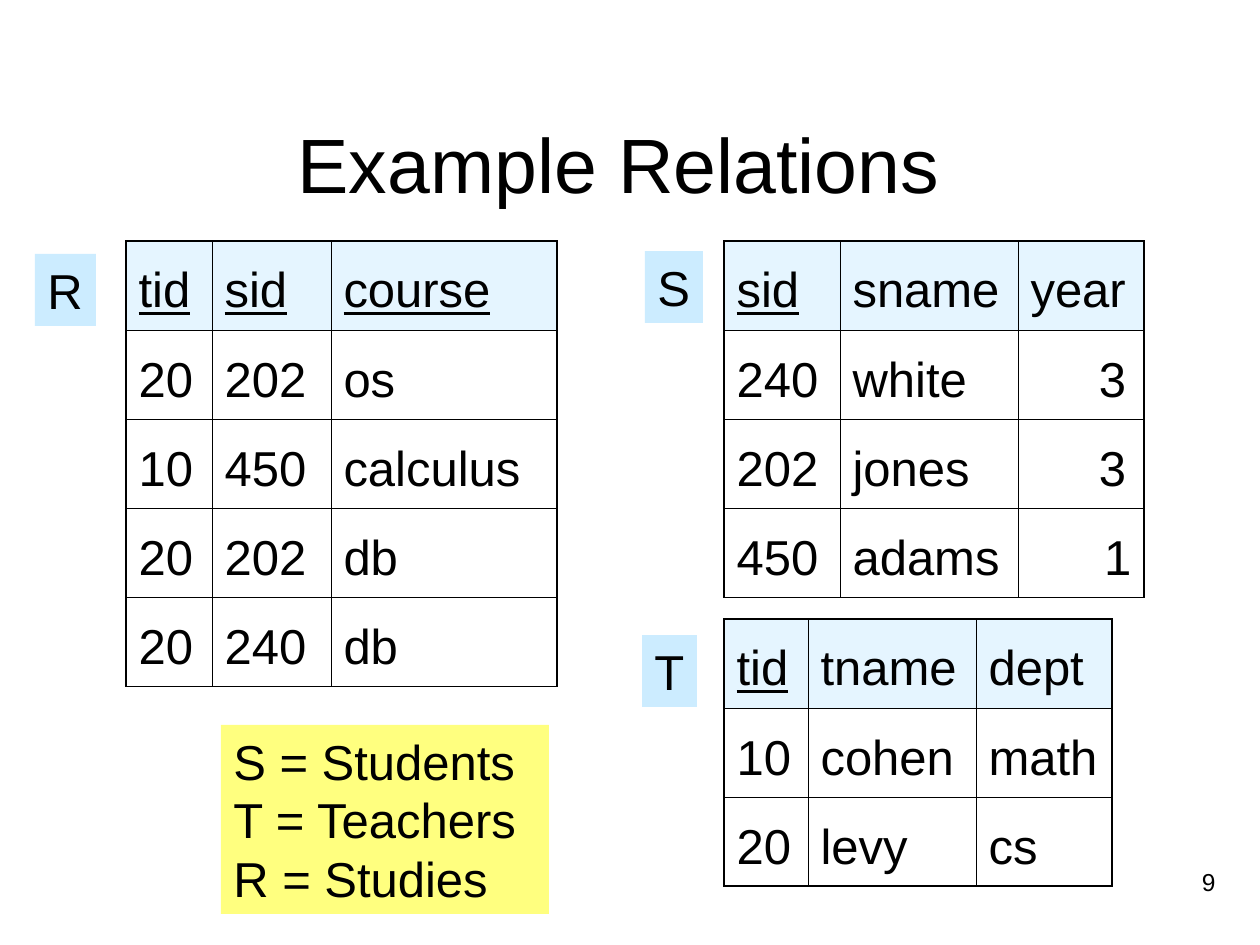
"""Build the Example Relations slide with its three tables, labels and legend."""
from lxml import etree
from pptx import Presentation
from pptx import util as u
from pptx.dml.color import RGBColor
from pptx.enum import shapes, text
from pptx.oxml.ns import qn

PX = 914400 // 126
COLORS = {"ink": "000000", "sky": "CCECFF", "yellow": "FFFF00"}
ROW_HEIGHT = 89


def paint(fill, color, owner=None):
    fill.solid()
    fill.fore_color.rgb = RGBColor.from_string(COLORS[color])
    if owner is not None:
        shade = next(owner.iter(qn("a:srgbClr")))
        etree.SubElement(shade, qn("a:alpha"), val="50000")


def write(frame, lines, size=28, align="LEFT", underline=False):
    frame.word_wrap = True
    for number, line in enumerate(lines):
        para = frame.add_paragraph() if number else frame.paragraphs[0]
        para.alignment = text.PP_ALIGN[align]
        span = para.add_run()
        span.text = line
        span.font.size = u.Pt(size)
        span.font.name = "Arial"
        span.font.underline = underline
        span.font.color.rgb = RGBColor.from_string(COLORS["ink"])


deck = Presentation()
deck.slide_width, deck.slide_height = 1260 * PX, 945 * PX
page = deck.slides.add_slide(deck.slide_layouts[6])

title = page.shapes.add_textbox(94 * PX, 84 * PX, 1071 * PX, 158 * PX)
title.text_frame.vertical_anchor = text.MSO_ANCHOR.MIDDLE
write(title.text_frame, ["Example Relations "], 44, "CENTER")

relations = [
    (126, 241, [86, 119, 226], 3, [
        ["tid", "sid", "course"], ["20", "202", "os"], ["10", "450", "calculus"],
        ["20", "202", "db"], ["20", "240", "db"]]),
    (724, 619, [84, 168, 136], 1, [
        ["tid", "tname", "dept"], ["10", "cohen", "math"], ["20", "levy", "cs"]]),
    (724, 241, [116, 178, 126], 1, [
        ["sid", "sname", "year"], ["240", "white", "3"], ["202", "jones", "3"],
        ["450", "adams", "1"]]),
]
for left, top, widths, keys, rows in relations:
    last_row, last_column = len(rows) - 1, len(widths) - 1
    table = page.shapes.add_table(
        len(rows), len(widths), left * PX, top * PX,
        sum(widths) * PX, len(rows) * ROW_HEIGHT * PX).table
    table.first_row = table.horz_banding = False
    for column, width in zip(table.columns, widths):
        column.width = width * PX
    for r, values in enumerate(rows):
        table.rows[r].height = ROW_HEIGHT * PX
        for c, value in enumerate(values):
            cell = table.cell(r, c)
            write(cell.text_frame, [value], underline=r == 0 and c < keys)
            para = cell.text_frame.paragraphs[0]
            para.line_spacing = 1.3
            if value == "1":
                para.alignment = text.PP_ALIGN.RIGHT
            elif value == "3":
                cell.margin_left = 81 * PX
            properties = cell._tc.get_or_add_tcPr()
            if r == 0:
                paint(cell.fill, "sky", properties)
            else:
                cell.fill.background()
            outer = {"lnL": c == 0, "lnR": c == last_column,
                     "lnT": r == 0, "lnB": r == last_row}
            for place, (side, is_outer) in enumerate(outer.items()):
                line = etree.Element(qn(f"a:{side}"), w=str(u.Pt(1.08 if is_outer else 0.45)))
                solid = etree.SubElement(line, qn("a:solidFill"))
                etree.SubElement(solid, qn("a:srgbClr"), val=COLORS["ink"])
                properties.insert(place, line)

panels = [
    (221, 725, 328, 189, "yellow", ["S = Students", "T = Teachers", "R = Studies"]),
    (645, 251, 58, 72, "sky", ["S"]),
    (642, 635, 55, 72, "sky", ["T"]),
    (35, 254, 61, 72, "sky", ["R"]),
]
for left, top, width, height, color, lines in panels:
    box = page.shapes.add_shape(
        shapes.MSO_SHAPE.RECTANGLE, left * PX, top * PX, width * PX, height * PX)
    box.shadow.inherit = False
    box.line.fill.background()
    paint(box.fill, color, box._element.spPr if color == "yellow" else None)
    box.text_frame.vertical_anchor = text.MSO_ANCHOR.TOP
    write(box.text_frame, lines)

number_box = page.shapes.add_textbox(966 * PX, 861 * PX, 262 * PX, 63 * PX)
write(number_box.text_frame, ["9"], 14, "RIGHT")

deck.save("out.pptx")
